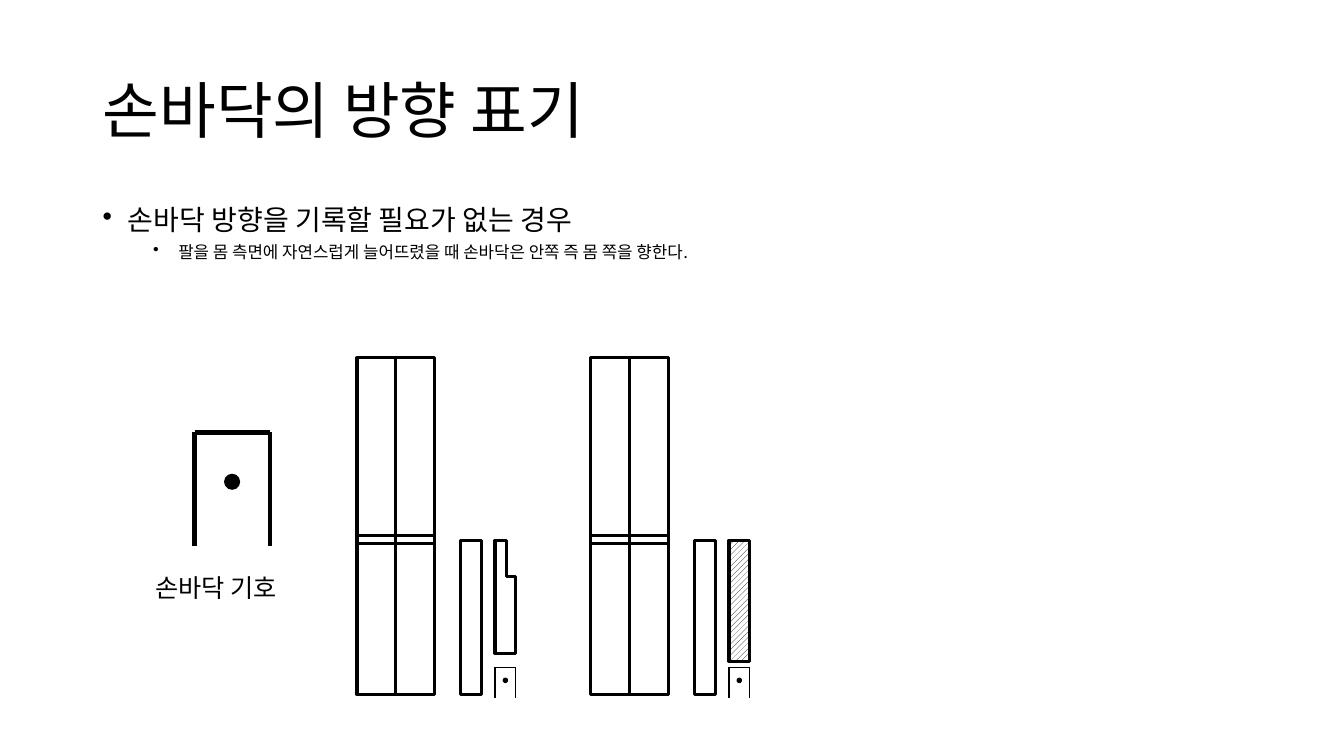
from lxml import etree
from pptx import Presentation
from pptx.dml.color import RGBColor
from pptx.enum.dml import MSO_PATTERN
from pptx.enum.shapes import MSO_CONNECTOR, MSO_SHAPE
from pptx.enum.text import MSO_ANCHOR, MSO_AUTO_SIZE
from pptx.oxml.ns import qn
from pptx.util import Inches, Pt

RECTANGLE = MSO_SHAPE.RECTANGLE
OVAL = MSO_SHAPE.OVAL
STRAIGHT = MSO_CONNECTOR.STRAIGHT
DIAGONAL = MSO_PATTERN.WIDE_UPWARD_DIAGONAL
MIDDLE = MSO_ANCHOR.MIDDLE
TOP = MSO_ANCHOR.TOP
FIT_SHAPE = MSO_AUTO_SIZE.SHAPE_TO_FIT_TEXT

SLIDE_WIDTH = Inches(13.33)
SLIDE_HEIGHT = Inches(7.5)
COLUMNS = 133.3
ROWS = 75
INDENT = Inches(0.25)


def color(value):
    return RGBColor.from_string(value)


class SlideCanvas:
    """Draws styled elements on one slide, placed by grid columns and rows."""

    font_name = "Noto Sans CJK KR"
    ink = "000000"
    paper = "FFFFFF"
    outline = 2.25

    def __init__(self, slide):
        self.slide = slide

    def column(self, count):
        return round(SLIDE_WIDTH * count / COLUMNS)

    def row(self, count):
        return round(SLIDE_HEIGHT * count / ROWS)

    def area(self, left, top, width, height):
        return self.column(left), self.row(top), self.column(width), self.row(height)

    def text_box(self, area, anchor=TOP, wrap=True):
        frame = self.slide.shapes.add_textbox(*self.area(*area)).text_frame
        frame.word_wrap = wrap
        frame.vertical_anchor = anchor
        return frame

    def fill_paragraph(self, paragraph, text, size, line_spacing=None):
        paragraph.text = text
        paragraph.line_spacing = line_spacing
        for run in paragraph.runs:
            run.font.name = self.font_name
            run.font.size = Pt(size)
            run.font.color.rgb = color(self.ink)
            east_asian = etree.SubElement(run._r.get_or_add_rPr(), qn("a:ea"))
            east_asian.set("typeface", self.font_name)

    def bullet(self, paragraph, text, size, level):
        properties = paragraph._p.get_or_add_pPr()
        properties.set("marL", str(INDENT * (1 + 2 * level)))
        properties.set("indent", str(-INDENT))
        etree.SubElement(properties, qn("a:buChar")).set("char", "•")
        paragraph.level = level
        if level:
            paragraph.space_before = Pt(5)
        self.fill_paragraph(paragraph, text, size, 0.9)

    def finish(self, shape, fill, weight):
        shape.shadow.inherit = False
        shape.fill.solid()
        shape.fill.fore_color.rgb = color(fill)
        if weight:
            shape.line.color.rgb = color(self.ink)
            shape.line.width = Pt(weight)
        else:
            shape.line.fill.background()

    def box(self, *area):
        shape = self.slide.shapes.add_shape(RECTANGLE, *self.area(*area))
        self.finish(shape, self.paper, self.outline)
        return shape

    def hatched_box(self, *area):
        fill = self.box(*area).fill
        fill.patterned()
        fill.pattern = DIAGONAL
        fill.fore_color.rgb = color(self.ink)
        fill.back_color.rgb = color(self.paper)

    def dot(self, center_x, center_y, diameter, weight=0):
        corner = center_x - diameter / 2, center_y - diameter / 2
        shape = self.slide.shapes.add_shape(OVAL, *self.area(*corner, diameter, diameter))
        self.finish(shape, self.ink, weight)

    def line(self, start, end, weight):
        connector = self.slide.shapes.add_connector(
            STRAIGHT, self.column(start[0]), self.row(start[1]),
            self.column(end[0]), self.row(end[1]))
        connector.line.color.rgb = color(self.ink)
        connector.line.width = Pt(weight)
        etree.SubElement(connector._element.spPr, qn("a:effectLst"))

    def outline_shape(self, points):
        corners = [(self.column(x), self.row(y)) for x, y in points]
        builder = self.slide.shapes.build_freeform(*corners[0])
        builder.add_line_segments(corners[1:], close=True)
        self.finish(builder.convert_to_shape(), self.paper, self.outline)

    def palm(self, left, top, width, height, dot_drop, dot_size, weight, dot_weight=0):
        right, bottom = left + width, top + height
        self.line((left, bottom), (left, top), weight)
        self.line((right, bottom), (right, top), weight)
        self.line((left, top), (right, top), weight)
        self.dot(left + width / 2, top + dot_drop, dot_size, dot_weight)

    def staff(self, left):
        half = 3.84
        for top, height in ((53.1, 15.8), (35.5, 17.6)):
            for side in range(2):
                self.box(left + side * half, top, half, height)
        self.line((left, 53.9), (left + 2 * half, 53.9), self.outline)
        self.box(left + 10.3, 53.6, 2.05, 15.3)
        self.palm(left + 13.7, 66.2, 2.05, 3, 1.3, 0.4, 1, 1)


def main():
    presentation = Presentation()
    presentation.slide_width = SLIDE_WIDTH
    presentation.slide_height = SLIDE_HEIGHT
    canvas = SlideCanvas(presentation.slides.add_slide(presentation.slide_layouts[6]))

    title = canvas.text_box((9.2, 4, 115, 14.5), MIDDLE)
    canvas.fill_paragraph(title.paragraphs[0], "손바닥의 방향 표기", 44, 0.9)

    body = canvas.text_box((9.2, 20, 115, 9.3))
    canvas.bullet(body.paragraphs[0], "손바닥 방향을 기록할 필요가 없는 경우", 20, 0)
    canvas.bullet(body.add_paragraph(),
                  "팔을 몸 측면에 자연스럽게 늘어뜨렸을 때 손바닥은 안쪽 즉 몸 쪽을 향한다.", 12, 1)

    canvas.palm(19.3, 42.9, 7.45, 11.3, 4.9, 1.6, 3)
    label = canvas.text_box((14.4, 56.3, 15.5, 4), wrap=False)
    label.auto_size = FIT_SHAPE
    canvas.fill_paragraph(label.paragraphs[0], "손바닥 기호", 18)

    first_staff, second_staff = 35.4, 58.6
    arm_offset, arm_top, arm_width = 13.7, 53.6, 2.05
    for left in (first_staff, second_staff):
        canvas.staff(left)

    arm_left = first_staff + arm_offset
    arm_right, notch = arm_left + arm_width, arm_left + 1.15
    canvas.outline_shape([
        (notch, arm_top), (arm_left, arm_top), (arm_left, 64.8),
        (arm_right, 64.8), (arm_right, 57.2), (notch, 57.2)])
    canvas.hatched_box(second_staff + arm_offset, arm_top, arm_width, 12)

    presentation.save("out.pptx")


if __name__ == "__main__":
    main()
